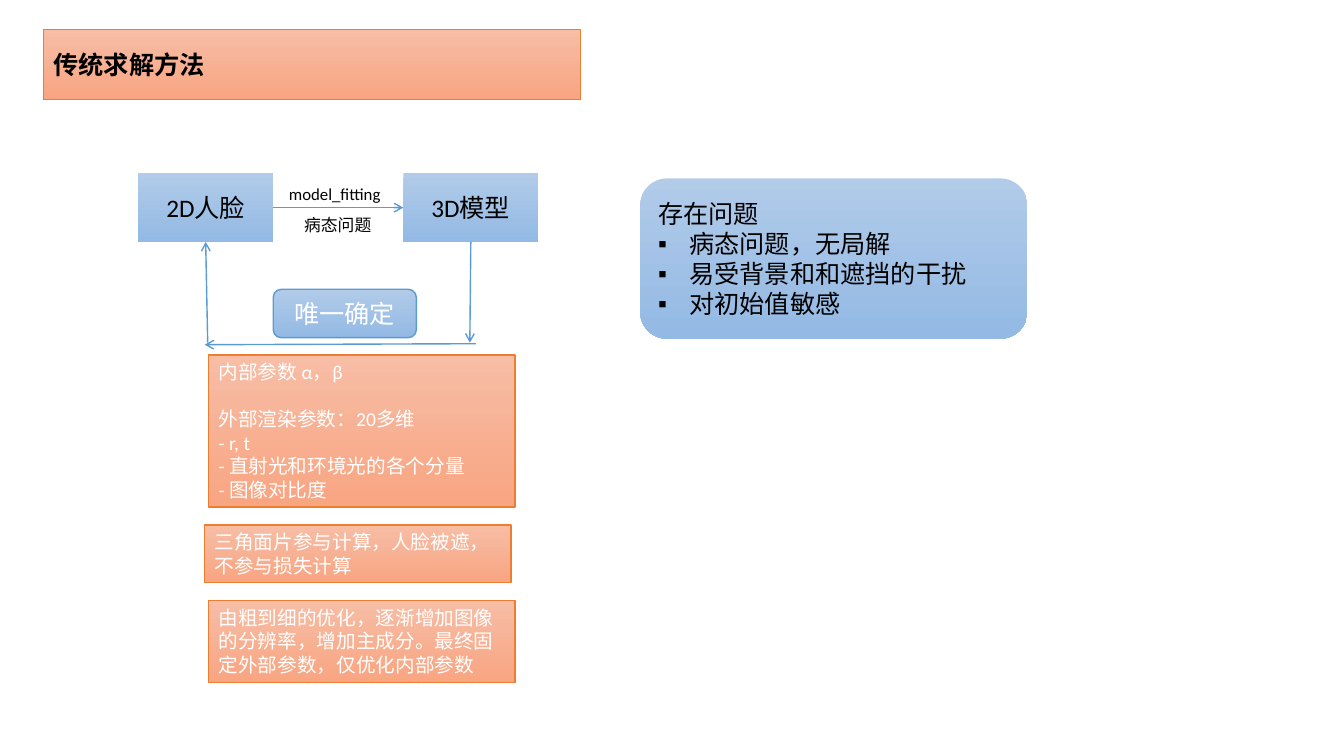
import lxml.etree
import pptx
import pptx.dml.color
import pptx.enum.shapes
import pptx.enum.text
import pptx.oxml.ns
import pptx.util

Inches = pptx.util.Inches
Pt = pptx.util.Pt
KIND = pptx.enum.shapes.MSO_SHAPE
LEFT = pptx.enum.text.PP_ALIGN.LEFT
MID = pptx.enum.text.PP_ALIGN.CENTER

BLUE = ("B1CBE9", "93B9E4")
PEACH = ("F7BDA5", "F8A582")
SKY = "5B9BD5"
RUST = "ED7D31"
BLACK = "000000"
WHITE = "FFFFFF"


def tint(color, code):
    color.rgb = pptx.dml.color.RGBColor.from_string(code)


def add_tag(parent, name, **attrs):
    tag = lxml.etree.SubElement(parent, pptx.oxml.ns.qn(name))
    for key, value in attrs.items():
        tag.set(key, value)
    return tag


def place(shape, box):
    shape.left, shape.top, shape.width, shape.height = map(Inches, box)


def paint(shape, shades, edge=None):
    shape.fill.gradient()
    shape.fill.gradient_angle = 270
    for stop, code in zip(shape.fill.gradient_stops, shades):
        tint(stop.color, code)
    if edge:
        tint(shape.line.color, edge)
        shape.line.width = Pt(1)
    else:
        shape.line.fill.background()


def write(shape, lines, size, code, align=LEFT, top=False, bold=False):
    frame = shape.text_frame
    frame.word_wrap = True
    frame.auto_size = pptx.enum.text.MSO_AUTO_SIZE.NONE
    anchor = pptx.enum.text.MSO_ANCHOR
    frame.vertical_anchor = anchor.TOP if top else anchor.MIDDLE
    for index, line in enumerate(lines):
        para = frame.paragraphs[0] if index == 0 else frame.add_paragraph()
        para.alignment = align
        para.space_before = Pt(0)
        run = para.add_run()
        run.text = line
        run.font.name = "Calibri"
        run.font.size = Pt(size)
        run.font.bold = bold
        tint(run.font.color, code)
    return frame.paragraphs


def add_block(slide, kind, box, shades, edge=None):
    shape = slide.shapes.add_shape(kind, *map(Inches, box))
    shape.shadow.inherit = False
    paint(shape, shades, edge)
    return shape


def add_label(slide, box, text):
    label = slide.shapes.add_textbox(*map(Inches, box))
    write(label, [text], 12, BLACK, MID, top=True)


def add_note(slide, box, lines):
    note = add_block(slide, KIND.RECTANGLE, box, PEACH, RUST)
    return write(note, lines, 14, WHITE, top=True)


def add_arrow(slide, start, end):
    straight = pptx.enum.shapes.MSO_CONNECTOR.STRAIGHT
    arrow = slide.shapes.add_connector(straight, *map(Inches, start + end))
    tint(arrow.line.color, SKY)
    arrow.line.width = Pt(1)
    props = arrow._element.spPr
    add_tag(arrow.line._get_or_add_ln(), "a:tailEnd", type="arrow")
    add_tag(props, "a:effectLst")


def round_holder(holder, box, shades, edge=None):
    place(holder, box)
    shape = add_tag(holder._element.spPr, "a:prstGeom", prst="roundRect")
    add_tag(shape, "a:avLst")
    paint(holder, shades, edge)


def set_bullet(para, char=None):
    props = para._p.get_or_add_pPr()
    indent = Inches(0.31) if char else 0
    props.set("marL", str(indent))
    props.set("indent", str(-indent))
    if char:
        add_tag(props, "a:buChar", char=char)
    else:
        add_tag(props, "a:buNone")


def main():
    deck = pptx.Presentation()
    deck.slide_width = Inches(13.33)
    deck.slide_height = Inches(7.5)
    slide = deck.slides.add_slide(deck.slide_layouts[1])

    title = slide.shapes.title
    round_holder(title, (0.43, 0.29, 5.33, 0.7), PEACH, RUST)
    write(title, ["传统求解方法"], 18, BLACK, bold=True)

    body = slide.placeholders[1]
    round_holder(body, (6.35, 1.77, 3.84, 1.59), BLUE)
    issues = ["存在问题", "病态问题，无局解", "易受背景和和遮挡的干扰", "对初始值敏感"]
    head, *items = write(body, issues, 18, BLACK)
    set_bullet(head)
    for item in items:
        set_bullet(item, "▪")

    for left, text in ((1.37, "2D人脸"), (4, "3D模型")):
        node = add_block(slide, KIND.RECTANGLE, (left, 1.72, 1.34, 0.68), BLUE)
        write(node, [text], 18, BLACK, MID)

    add_label(slide, (2.71, 1.77, 1.22, 0.3), "model_fitting")
    add_label(slide, (2.74, 2.08, 1.22, 0.3), "病态问题")

    for start, end in (
        ((2.71, 2.06), (4, 2.06)),
        ((4.67, 2.4), (4.66, 3.4)),
        ((4.72, 3.41), (2.03, 3.42)),
        ((2.06, 3.4), (2.04, 2.4)),
    ):
        add_arrow(slide, start, end)

    lone = add_block(slide, KIND.ROUNDED_RECTANGLE, (2.71, 2.87, 1.42, 0.48), BLUE, SKY)
    write(lone, ["唯一确定"], 18, WHITE, MID)

    terms = add_note(slide, (2.07, 3.52, 3.04, 1.51), [
        "内部参数 α，β",
        "外部渲染参数：20多维",
        "- r, t",
        "- 直射光和环境光的各个分量",
        "- 图像对比度",
    ])
    terms[1].space_before = Pt(17)
    add_note(slide, (2.03, 5.21, 3.04, 0.57), ["三角面片参与计算，人脸被遮，不参与损失计算"])
    add_note(slide, (2.07, 5.96, 3.04, 0.81), [
        "由粗到细的优化，逐渐增加图像的分辨率，增加主成分。最终固定外部参数，仅优化内部参数",
    ])

    deck.save("out.pptx")


if __name__ == "__main__":
    main()
